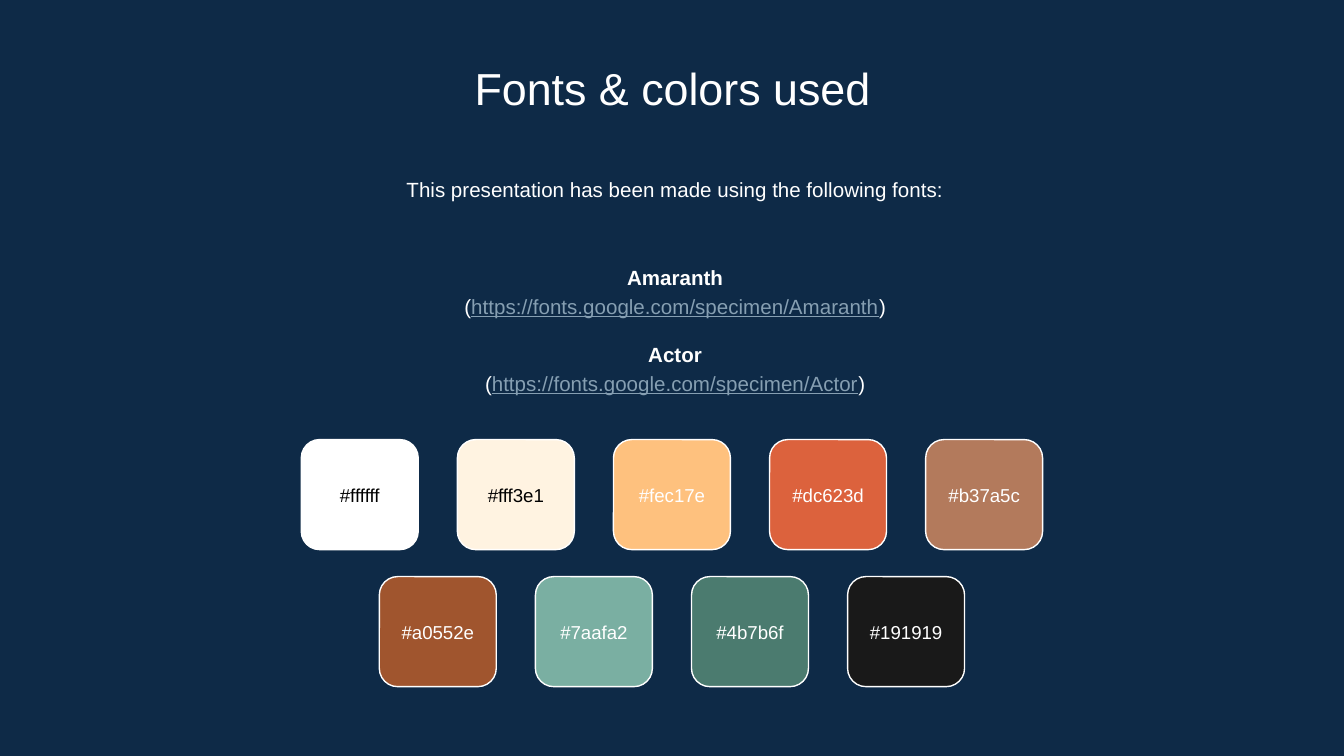
from pptx import Presentation
from pptx.dml.color import RGBColor
from pptx.enum.shapes import MSO_SHAPE
from pptx.enum.text import MSO_ANCHOR, PP_ALIGN
from pptx.util import Cm, Pt

# Content
TITLE = "Fonts & colors used"
INTRO = "This presentation has been made using the following fonts:"
FONTS = [
    ("Amaranth", "https://fonts.google.com/specimen/Amaranth"),
    ("Actor", "https://fonts.google.com/specimen/Actor"),
]
ROWS = [
    ["#ffffff", "#fff3e1", "#fec17e", "#dc623d", "#b37a5c"],
    ["#a0552e", "#7aafa2", "#4b7b6f", "#191919"],
]
DARK_TEXT = ROWS[0][:2]

# Style and grid, in cm
COLORS = {"back": "0E2A47", "light": "FFFFFF", "dark": "000000", "link": "869FB2"}
FACE = "Arial"
WIDTH, HEIGHT = 25.4, 14.29
TILE_W, TILE_H = 2.21, 2.08
STEP_X, STEP_Y = 2.95, 2.59
TILE_TOP = 8.31


def add_run(para, text, size, color="light", bold=False, line=False):
    run = para.add_run()
    run.text = text
    font = run.font
    font.name, font.size = FACE, Pt(size)
    font.bold, font.underline = bold, line
    font.color.rgb = RGBColor.from_string(COLORS[color])


def set_frame(shape, anchor, inset=0.25):
    frame = shape.text_frame
    frame.word_wrap = True
    frame.vertical_anchor = anchor
    frame.margin_left = frame.margin_right = Cm(inset)
    frame.margin_top = frame.margin_bottom = Cm(inset)
    frame.paragraphs[0].alignment = PP_ALIGN.CENTER
    return frame


def add_text(top, height, anchor):
    box = slide.shapes.add_textbox(Cm(2.97), Cm(top), Cm(19.58), Cm(height))
    return set_frame(box, anchor)


def add_tile(left, top, code):
    tile = slide.shapes.add_shape(
        MSO_SHAPE.ROUNDED_RECTANGLE, Cm(left), Cm(top), Cm(TILE_W), Cm(TILE_H))
    tile.shadow.inherit = False
    tile.fill.solid()
    tile.fill.fore_color.rgb = RGBColor.from_string(code[1:].upper())
    tile.line.color.rgb = RGBColor.from_string(COLORS["light"])
    tile.line.width = Pt(0.75)
    frame = set_frame(tile, MSO_ANCHOR.MIDDLE, 0)
    add_run(frame.paragraphs[0], code, 10, "dark" if code in DARK_TEXT else "light")


deck = Presentation()
deck.slide_width, deck.slide_height = Cm(WIDTH), Cm(HEIGHT)
slide = deck.slides.add_slide(deck.slide_layouts[5])
slide.background.fill.solid()
slide.background.fill.fore_color.rgb = RGBColor.from_string(COLORS["back"])

# Title
title = slide.shapes.title
title.left, title.top = Cm(2.92), Cm(0.89)
title.width, title.height = Cm(19.58), Cm(1.35)
add_run(set_frame(title, MSO_ANCHOR.TOP).paragraphs[0], TITLE, 24)

# Intro line
para = add_text(3.02, 1.22, MSO_ANCHOR.TOP).paragraphs[0]
para.line_spacing = 1.15
add_run(para, INTRO, 11)

# Font names and addresses
frame = add_text(4.47, 3.48, MSO_ANCHOR.MIDDLE)
for i, (name, url) in enumerate(FONTS):
    head = frame.add_paragraph() if i else frame.paragraphs[0]
    if i:
        head.space_before = Pt(11)
    add_run(head, name, 11, bold=True)
    site = frame.add_paragraph()
    add_run(site, "(", 11)
    add_run(site, url, 11, "link", line=True)
    add_run(site, ")", 11)
    for para in (head, site):
        para.alignment = PP_ALIGN.CENTER
        para.line_spacing = 1.15

# Color tiles, each row centred on the slide
for r, row in enumerate(ROWS):
    start = (WIDTH - (len(row) - 1) * STEP_X - TILE_W) / 2
    for c, code in enumerate(row):
        add_tile(start + c * STEP_X, TILE_TOP + r * STEP_Y, code)

deck.save("out.pptx")
